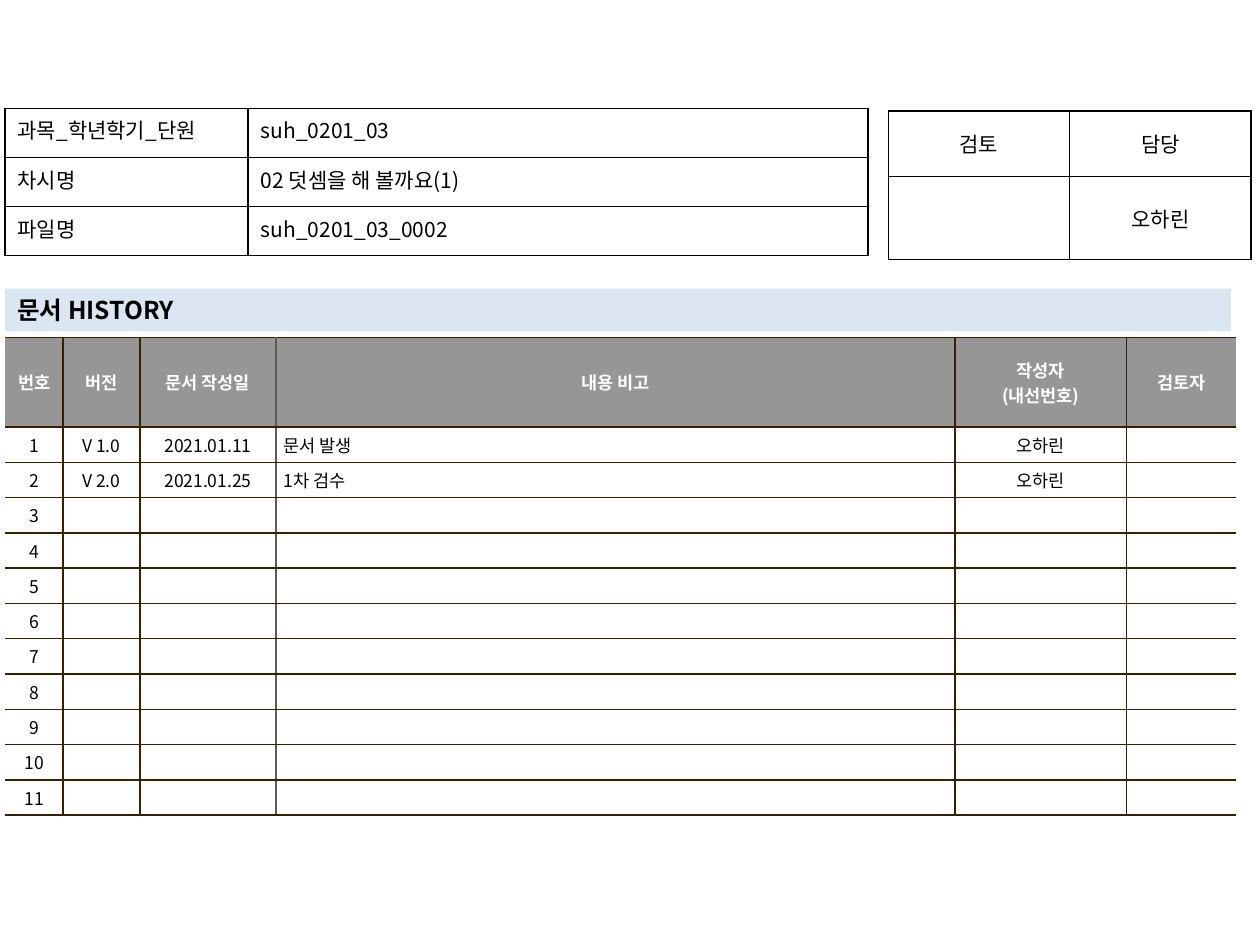
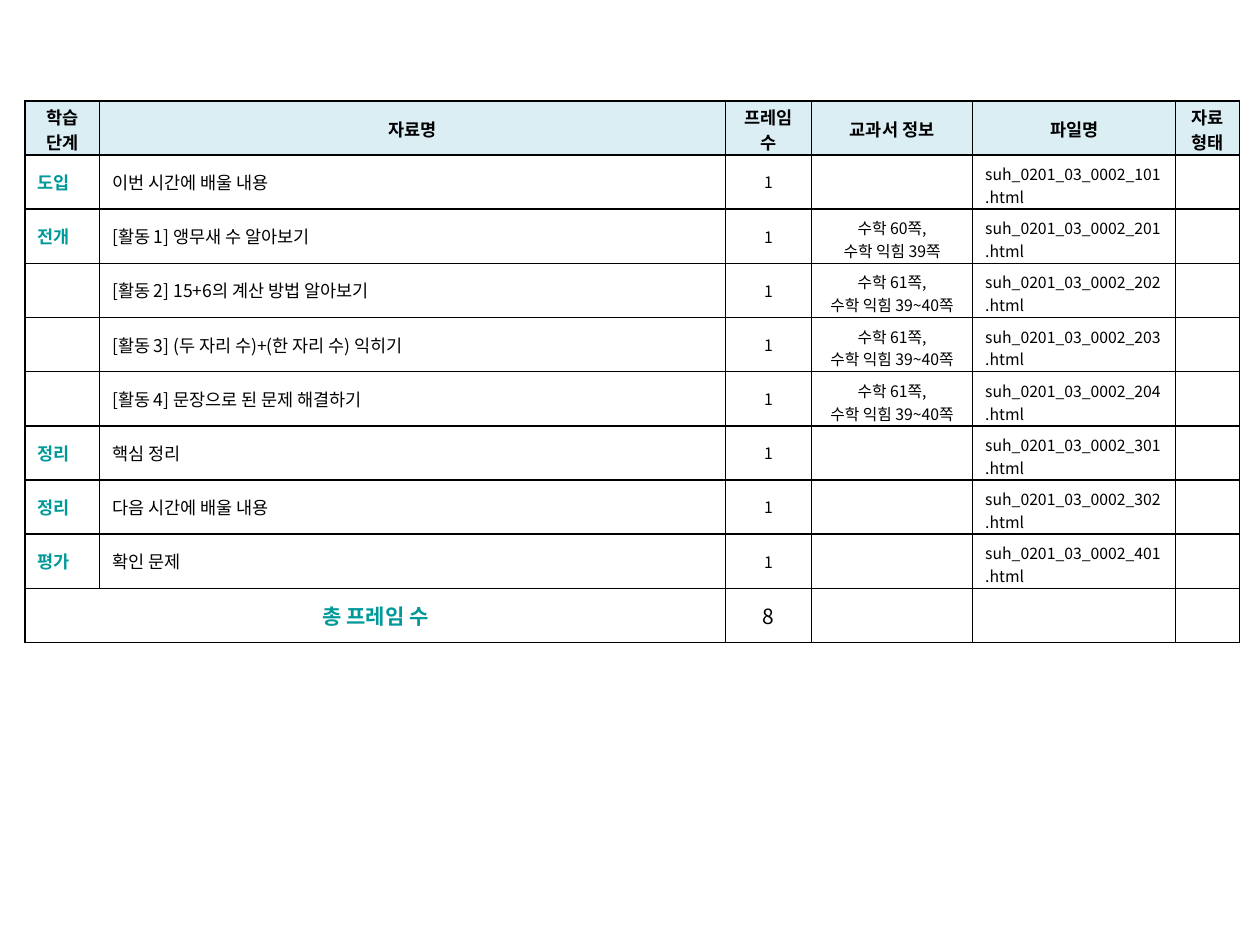
"""Builds the document history slide and the lesson frame list slide."""
from lxml import etree
from pptx import Presentation
from pptx.dml.color import RGBColor
from pptx.enum.shapes import MSO_SHAPE
from pptx.enum.text import MSO_ANCHOR, PP_ALIGN
from pptx.oxml.ns import qn
from pptx.util import Inches, Pt

LEFT, CENTER, JUSTIFY = PP_ALIGN.LEFT, PP_ALIGN.CENTER, PP_ALIGN.JUSTIFY
TOP, MIDDLE = MSO_ANCHOR.TOP, MSO_ANCHOR.MIDDLE
RECT = MSO_SHAPE.RECTANGLE
FONT = "Noto Sans CJK KR"
BLACK, WHITE, TEAL = "000000", "FFFFFF", "009999"
BROWN, TAUPE, GRAY = "362000", "645B4C", "969696"
BAND, HEAD = "DCE6F2", "DBEEF4"

LESSON = "suh_0201_03"
INFO = [
    ("과목_학년학기_단원", LESSON),
    ("차시명", "02 덧셈을 해 볼까요(1)"),
    ("파일명", f"{LESSON}_0002"),
]
REVIEW = [("검토", "담당"), ("", "오하린")]
HISTORY_TITLE = "문서 HISTORY"
HISTORY_HEAD = ("번호", "버전", "문서 작성일", "내용 비고", "작성자\n(내선번호)", "검토자")
HISTORY = [
    ("V 1.0", "2021.01.11", "문서 발생", "오하린", ""),
    ("V 2.0", "2021.01.25", "1차 검수", "오하린", ""),
]
HISTORY_ROWS = 11
FRAME_HEAD = ("학습 단계", "자료명", "프레임 수", "교과서 정보", "파일명", "자료\n형태")
FRAMES = [
    ("도입", "이번 시간에 배울 내용", "", 101),
    ("전개", "[활동 1] 앵무새 수 알아보기", "수학 60쪽,\n수학 익힘 39쪽", 201),
    ("", "[활동 2] 15+6의 계산 방법 알아보기", "수학 61쪽,\n수학 익힘 39~40쪽", 202),
    ("", "[활동 3] (두 자리 수)+(한 자리 수) 익히기", "수학 61쪽,\n수학 익힘 39~40쪽", 203),
    ("", "[활동 4] 문장으로 된 문제 해결하기", "수학 61쪽,\n수학 익힘 39~40쪽", 204),
    ("정리", "핵심 정리", "", 301),
    ("정리", "다음 시간에 배울 내용", "", 302),
    ("평가", "확인 문제", "", 401),
]
TOTAL_LABEL = "총 프레임 수"


def rgb(color):
    """Turn a hex string into a colour."""
    return RGBColor.from_string(color)


def write(tf, text, size, color=BLACK, bold=False, align=LEFT):
    """Fill a text frame, sizing empty paragraphs as well."""
    tf.text = text
    for p in tf.paragraphs:
        p.alignment = align
        for r in p.runs:
            r.font.name, r.font.size, r.font.bold = FONT, Pt(size), bold
            r.font.color.rgb = rgb(color)
            etree.SubElement(r.font._element, qn("a:ea"), typeface=FONT)
        if not p.runs:
            etree.SubElement(p._p, qn("a:endParaRPr"), sz=str(size * 100))


def set_borders(cell, **sides):
    """Draw 1 pt cell edges given as L, R, T, B; None hides an edge."""
    tc_pr = cell._tc.get_or_add_tcPr()
    for side, color in sides.items():
        ln = etree.SubElement(tc_pr, qn(f"a:ln{side}"), w=str(Pt(1)))
        if color:
            fill = etree.SubElement(ln, qn("a:solidFill"))
            etree.SubElement(fill, qn("a:srgbClr"), val=color)
        else:
            etree.SubElement(ln, qn("a:noFill"))


def format_cell(cell, text, size, color=BLACK, bold=False, align=LEFT,
                fill=WHITE, anchor=MIDDLE, insets=(0.1, 0.05, 0.05)):
    """Write a cell; insets are side, top and bottom."""
    write(cell.text_frame, text, size, color, bold, align)
    side, top, bottom = map(Inches, insets)
    cell.margin_left = cell.margin_right = side
    cell.margin_top, cell.margin_bottom = top, bottom
    cell.vertical_anchor = anchor
    cell.fill.solid()
    cell.fill.fore_color.rgb = rgb(fill)


def add_grid(s, left, top, widths, heights, edges, h_color=BLACK):
    """Add a plain table; edges holds the colours of its vertical lines."""
    frame = s.shapes.add_table(len(heights), len(widths), Inches(left), Inches(top),
                               Inches(sum(widths)), Inches(sum(heights)))
    table = frame.table
    table.first_row = table.horz_banding = False
    for col, width in zip(table.columns, widths):
        col.width = Inches(width)
    for row, height in zip(table.rows, heights):
        row.height = Inches(height)
        for i, cell in enumerate(row.cells):
            set_borders(cell, L=edges[i], R=edges[i + 1], T=h_color, B=h_color)
    return table


def build_history(s):
    """Build the file details, the review box and the history table."""
    info = add_grid(s, 0.04, 0.86, [1.93, 4.92], [0.39] * 3, [BLACK] * 3)
    for i, row in enumerate(INFO):
        for j, text in enumerate(row):
            format_cell(info.cell(i, j), text, 12, align=(JUSTIFY, LEFT)[j], anchor=TOP)

    review = add_grid(s, 7.05, 0.88, [1.44] * 2, [0.52, 0.66], [BLACK] * 3)
    for i, row in enumerate(REVIEW):
        for j, text in enumerate(row):
            format_cell(review.cell(i, j), text, 12, align=CENTER)

    sp = s.shapes.add_shape(RECT, Inches(0.04), Inches(2.29), Inches(9.73), Inches(0.34))
    sp.shadow.inherit = False
    sp.fill.solid()
    sp.fill.fore_color.rgb = rgb(BAND)
    sp.line.fill.background()
    sp.text_frame.vertical_anchor = MIDDLE
    write(sp.text_frame, HISTORY_TITLE, 14, bold=True)

    edges = [None, BROWN, BROWN, TAUPE, BROWN, BROWN, None]
    table = add_grid(s, 0.04, 2.68, [0.46, 0.61, 1.08, 5.39, 1.36, 0.87],
                     [0.71] + [0.28] * HISTORY_ROWS, edges, BROWN)
    insets = (0.06, 0.04, 0.04)
    for j, text in enumerate(HISTORY_HEAD):
        format_cell(table.cell(0, j), text, 10, WHITE, True, CENTER, GRAY, insets=insets)
    blank = ("",) * (len(HISTORY_HEAD) - 1)
    entries = HISTORY + [blank] * (HISTORY_ROWS - len(HISTORY))
    for i, entry in enumerate(entries, 1):
        for j, text in enumerate((str(i), *entry)):
            format_cell(table.cell(i, j), text, 10, align=LEFT if j == 3 else CENTER,
                        insets=insets)


def build_frames(s):
    """Build the list of lesson frames with its total."""
    last = len(FRAMES) + 1
    table = add_grid(s, 0.2, 0.8, [0.59, 4.97, 0.68, 1.28, 1.61, 0.51],
                     [0.43] * (last + 1), [BLACK] * 7)
    for j, text in enumerate(FRAME_HEAD):
        format_cell(table.cell(0, j), text, 10, bold=True, align=CENTER, fill=HEAD,
                    insets=(0.1, 0.02, 0))
    two_line = (0.1, 0.05, 0)
    styles = [
        dict(size=10, color=TEAL, bold=True, align=JUSTIFY),
        dict(size=10),
        dict(size=9, align=CENTER),
        dict(size=9, align=CENTER, insets=two_line),
        dict(size=9, insets=two_line),
        dict(size=9),
    ]
    for i, (stage, name, pages, number) in enumerate(FRAMES, 1):
        texts = (stage, name, "1", pages, f"{LESSON}_0002_{number}.html", "")
        for j, (text, style) in enumerate(zip(texts, styles)):
            format_cell(table.cell(i, j), text, **style)

    table.cell(last, 0).merge(table.cell(last, 1))
    format_cell(table.cell(last, 0), TOTAL_LABEL, 12, TEAL, True, CENTER)
    for j, text in enumerate((str(len(FRAMES)), "", "", ""), 2):
        format_cell(table.cell(last, j), text, 12, align=CENTER)


def main():
    """Create and save the presentation."""
    prs = Presentation()
    prs.slide_width, prs.slide_height = Inches(10), Inches(7.5)
    for build in (build_history, build_frames):
        build(prs.slides.add_slide(prs.slide_layouts[6]))
    prs.save("out.pptx")


if __name__ == "__main__":
    main()
